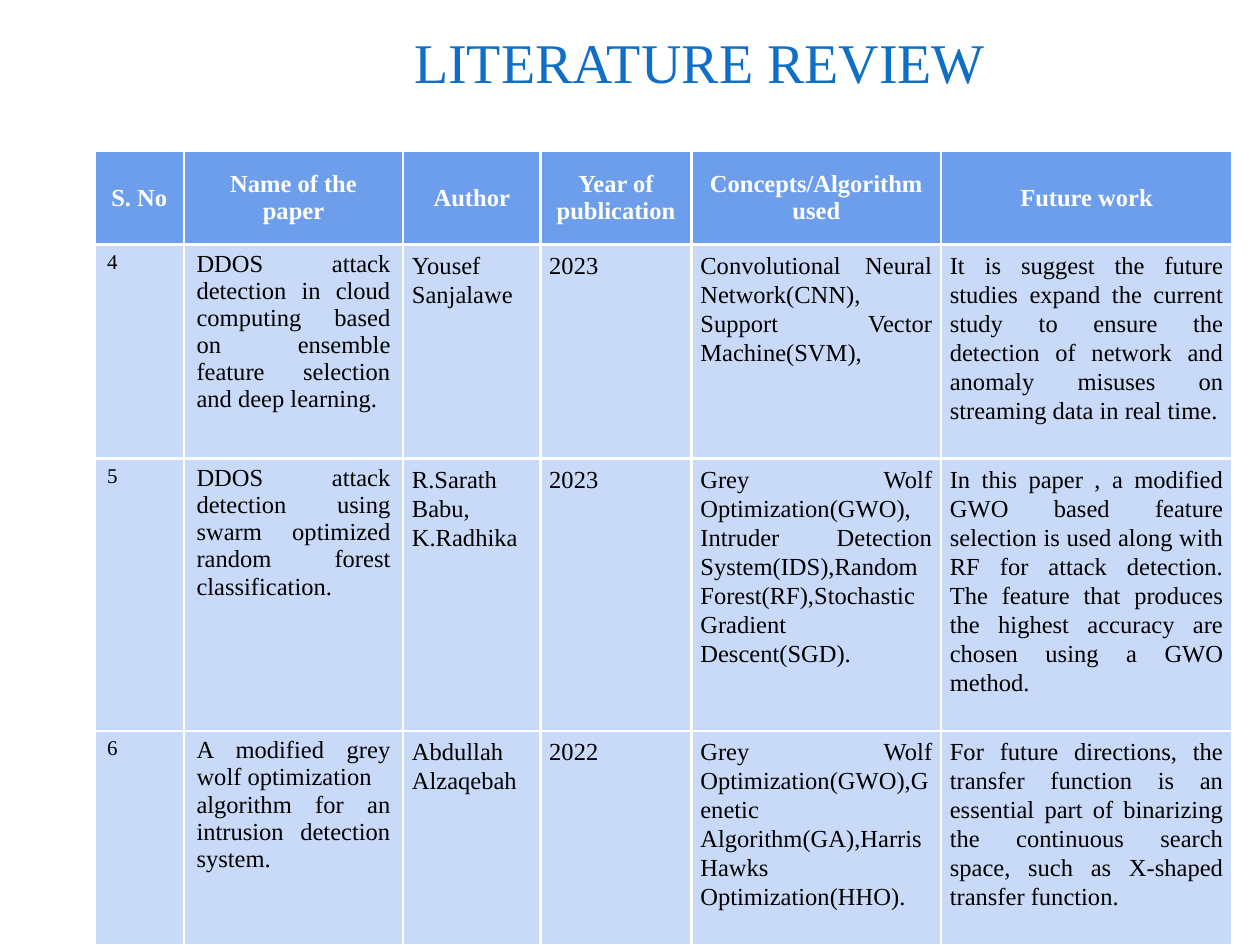
from pptx import Presentation
from pptx.dml.color import RGBColor
from pptx.enum.text import MSO_ANCHOR, PP_ALIGN
from pptx.oxml import parse_xml
from pptx.oxml.ns import nsdecls
from pptx.util import Inches, Pt

FONT = "Times New Roman"
TITLE_BLUE = RGBColor(0x0F, 0x6F, 0xC6)
HEADER_BLUE = RGBColor(0x6D, 0x9E, 0xEB)
BODY_BLUE = RGBColor(0xC9, 0xDA, 0xF8)
WHITE = RGBColor(0xFF, 0xFF, 0xFF)
BLACK = RGBColor(0, 0, 0)

COLUMN_WIDTHS = [0.71, 1.74, 1.09, 1.2, 1.98, 2.31]
ROW_HEIGHTS = [0.74, 1.7, 2.16, 1.7]
HEADERS = ["S. No", "Name of the paper", "Author", "Year of publication",
           "Concepts/Algorithm used", "Future work"]
PAPERS = [
    ["4",
     "DDOS attack detection in cloud computing based on ensemble feature "
     "selection and deep learning.",
     "Yousef Sanjalawe",
     "2023",
     "Convolutional Neural Network(CNN),\nSupport Vector Machine(SVM),",
     "It is suggest the future studies expand the current study to ensure the "
     "detection of network and anomaly misuses on streaming data in real time."],
    ["5",
     "DDOS attack detection using swarm optimized random forest classification.",
     "R.Sarath Babu,\nK.Radhika",
     "2023",
     "Grey Wolf Optimization(GWO),\nIntruder Detection System(IDS),Random "
     "Forest(RF),Stochastic Gradient Descent(SGD).",
     "In this paper , a modified GWO based feature selection is used along with "
     "RF for attack detection. The feature that produces the highest accuracy "
     "are chosen using a GWO method."],
    ["6",
     "A modified grey wolf optimization \n"
     "algorithm for an intrusion detection system.",
     "Abdullah Alzaqebah",
     "2022",
     "Grey Wolf Optimization(GWO),Genetic Algorithm(GA),Harris Hawks "
     "Optimization(HHO).",
     "For future directions, the transfer function is an essential part of "
     "binarizing the continuous search space, such as X-shaped transfer function."],
]


def format_text(text_frame, size, color, alignment, bold=False, line_spacing=None):
    for paragraph in text_frame.paragraphs:
        paragraph.alignment = alignment
        if line_spacing:
            paragraph.line_spacing = line_spacing
        for run in paragraph.runs:
            run.font.name = FONT
            run.font.size = Pt(size)
            run.font.bold = bold
            run.font.color.rgb = color


def set_borders(cell, color, width):
    properties = cell._tc.get_or_add_tcPr()
    for position, side in enumerate(("lnL", "lnR", "lnT", "lnB")):
        properties.insert(position, parse_xml(
            f'<a:{side} {nsdecls("a")} w="{Pt(width)}"><a:solidFill>'
            f'<a:srgbClr val="{color}"/></a:solidFill></a:{side}>'))


def fill_cell(cell, text, fill_color, side_margin):
    cell.text_frame.text = text
    cell.margin_left = cell.margin_right = Inches(side_margin)
    cell.margin_top = cell.margin_bottom = Inches(0.05)
    cell.fill.solid()
    cell.fill.fore_color.rgb = fill_color
    set_borders(cell, WHITE, 1.5)


def add_header_cell(cell, text):
    fill_cell(cell, text, HEADER_BLUE, 0.1)
    cell.vertical_anchor = MSO_ANCHOR.MIDDLE
    format_text(cell.text_frame, 14, WHITE, PP_ALIGN.CENTER, bold=True)


def add_paper_cell(cell, text, column):
    is_detail = column >= 2
    fill_cell(cell, text, BODY_BLUE, 0.07 if is_detail else 0.1)
    cell.vertical_anchor = MSO_ANCHOR.TOP
    format_text(cell.text_frame, 12 if column == 0 else 14, BLACK,
                PP_ALIGN.JUSTIFY, line_spacing=1.07 if is_detail else None)


def add_title(slide, left, top, width, height):
    title = slide.shapes.title
    title.left, title.top = Inches(left), Inches(top)
    title.width, title.height = Inches(width), Inches(height)
    text_frame = title.text_frame
    text_frame.text = "LITERATURE REVIEW"
    text_frame.vertical_anchor = MSO_ANCHOR.BOTTOM
    text_frame.margin_left = text_frame.margin_right = text_frame.margin_bottom = 0
    text_frame.margin_top = Inches(0.05)
    format_text(text_frame, 32, TITLE_BLUE, PP_ALIGN.CENTER)


def add_review_table(slide, left, top, width, height):
    table = slide.shapes.add_table(
        len(PAPERS) + 1, len(HEADERS),
        Inches(left), Inches(top), Inches(width), Inches(height)).table
    for column, share in zip(table.columns, COLUMN_WIDTHS):
        column.width = Inches(width * share / sum(COLUMN_WIDTHS))
    for row, share in zip(table.rows, ROW_HEIGHTS):
        row.height = Inches(height * share / sum(ROW_HEIGHTS))
    for column, header in enumerate(HEADERS):
        add_header_cell(table.cell(0, column), header)
    for row, paper in enumerate(PAPERS, start=1):
        for column, text in enumerate(paper):
            add_paper_cell(table.cell(row, column), text, column)


def main():
    presentation = Presentation()
    presentation.slide_width = Inches(10)
    presentation.slide_height = Inches(7.5)
    slide = presentation.slides.add_slide(presentation.slide_layouts[5])
    add_title(slide, 1.68, 0, 7.75, 0.75)
    add_review_table(slide, 0.75, 1.2, 9.03, 6.3)
    presentation.save("out.pptx")


if __name__ == "__main__":
    main()
